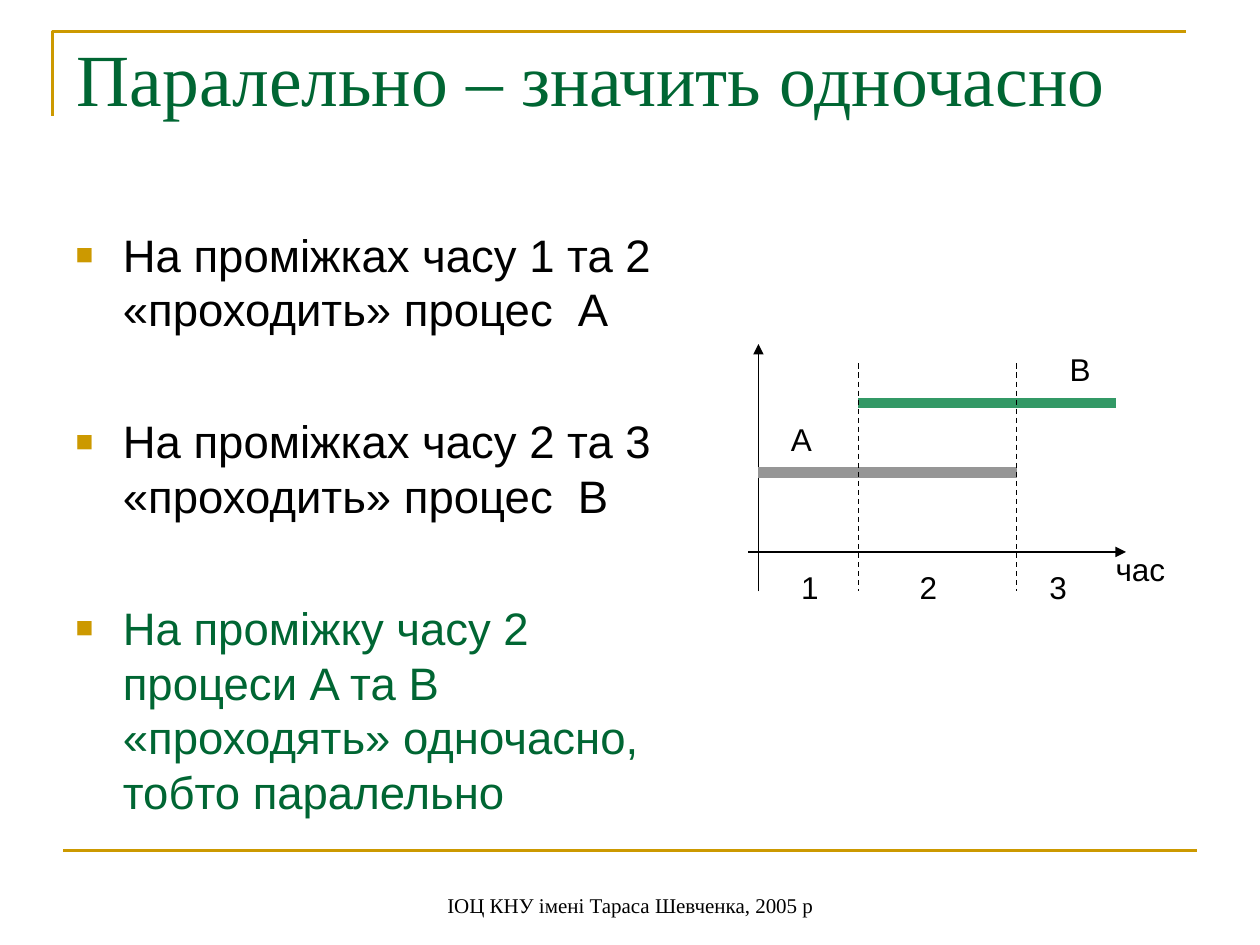
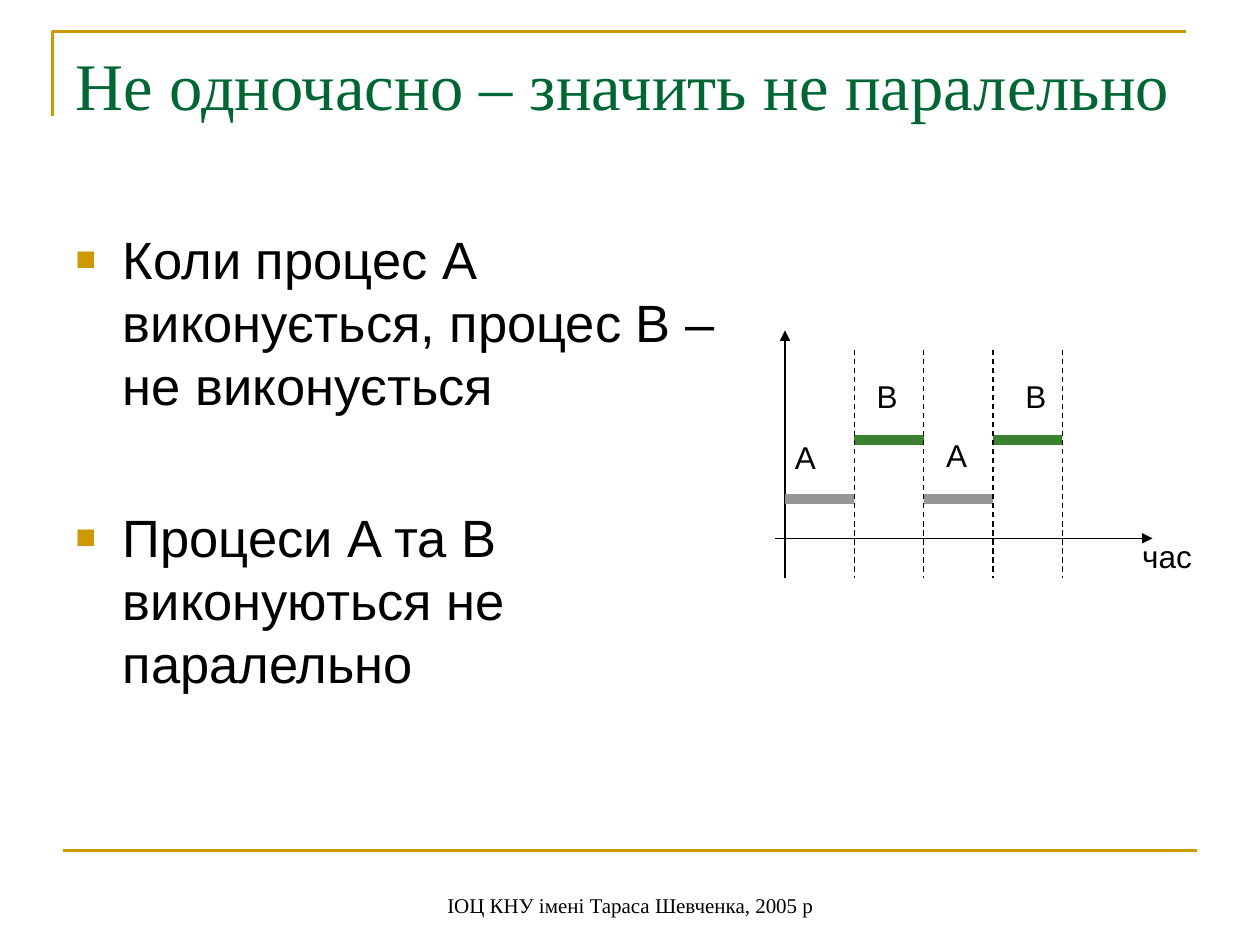
"""Builds two slides comparing parallel and non-parallel processes."""
from lxml import etree
from pptx import Presentation
from pptx.dml.color import RGBColor
from pptx.enum.dml import MSO_LINE
from pptx.enum.shapes import MSO_CONNECTOR
from pptx.enum.text import MSO_ANCHOR, MSO_AUTO_SIZE, PP_ALIGN
from pptx.oxml.ns import qn
from pptx.util import Pt

STRAIGHT = MSO_CONNECTOR.STRAIGHT
DASH = MSO_LINE.DASH
TOP, BOTTOM = MSO_ANCHOR.TOP, MSO_ANCHOR.BOTTOM
NO_FIT = MSO_AUTO_SIZE.NONE
LEFT, CENTER = PP_ALIGN.LEFT, PP_ALIGN.CENTER

GOLD = RGBColor(0xCC, 0x99, 0x00)
GREEN = RGBColor(0x00, 0x66, 0x33)
BLACK = RGBColor(0x00, 0x00, 0x00)
GRAY = RGBColor(0x96, 0x96, 0x96)
SEA_GREEN = RGBColor(0x33, 0x99, 0x66)
LEAF_GREEN = RGBColor(0x3B, 0x81, 0x2F)
SERIF, SANS = "Times New Roman", "Arial"

FOOTER = "ІОЦ КНУ імені Тараса Шевченка, 2005 р"
STEP = 39.6

SLIDES = [
    {
        "title": "Паралельно – значить одночасно",
        "title_box": (36.7, 15.1, 648, 90), "title_size": 42,
        "body": [
            ("На проміжках часу 1 та 2 «проходить» процес  A", BLACK),
            ("На проміжках часу 2 та 3 «проходить» процес  B", BLACK),
            ("На проміжку часу 2 процеси A та B «проходять» одночасно, "
             "тобто паралельно", GREEN),
        ],
        "body_width": 375, "body_size": 26,
        "origin": (433.4, 315.4),
        "bars": [(0, 147.6, -45.4, GRAY), (57, 204.6, -85, SEA_GREEN)],
        "moments": [57, 147.6],
        "labels": [("A", 11.5, -79.2), ("B", 170.7, -118.8),
                   ("1", 17.3, 5.7), ("2", 85, 5.7), ("3", 159.2, 5.7)],
    },
    {
        "title": "Не одночасно – значить не паралельно",
        "title_box": (36, 21.6, 648, 90), "title_size": 38,
        "body": [
            ("Коли процес A виконується, процес B – не виконується", BLACK),
            ("Процеси A та B виконуються не паралельно", BLACK),
        ],
        "body_width": 381, "body_size": 30,
        "origin": (448.6, 307.6),
        "bars": [(i * STEP, (i + 1) * STEP, y, color)
                 for i, (y, color) in enumerate(
                     [(-22.5, GRAY), (-56.3, LEAF_GREEN)] * 2)],
        "moments": [i * STEP for i in range(1, 5)],
        "labels": [("A", -1.5, -60.6), ("A", 84.9, -62.1),
                   ("B", 45.3, -95.9), ("B", 130.3, -95.9)],
    },
]

AXIS_LEFT, AXIS_RIGHT = -5.8, 210
AXIS_TOP, AXIS_BOTTOM = -118.8, 22.6
MOMENT_TOP = -107.7
TIME_LABEL = ("час", 197, -4.4)
LABEL_WIDTHS = {"час": 46, "A": 26.5, "B": 26.5}
DIGIT_WIDTH = 24.5


def place(part, left, top, width, height):
    part.left, part.top = Pt(left), Pt(top)
    part.width, part.height = Pt(width), Pt(height)


def style(paragraph, font_name, size, color):
    for run in paragraph.runs:
        run.font.name = font_name
        run.font.size = Pt(size)
        run.font.color.rgb = color


def add_line(shapes, start, end, color, width, dashed=False, arrow=False):
    connector = shapes.add_connector(STRAIGHT, *map(Pt, start + end))
    connector.line.color.rgb = color
    connector.line.width = Pt(width)
    if dashed:
        connector.line.dash_style = DASH
    properties = connector._element.spPr
    if arrow:
        etree.SubElement(properties.find(qn("a:ln")), qn("a:tailEnd"),
                         type="triangle")
    etree.SubElement(properties, qn("a:effectLst"))


def add_text(shapes, text, box, font_name, size, wrap=False,
             anchor=TOP, align=LEFT):
    label = shapes.add_textbox(*map(Pt, box))
    frame = label.text_frame
    frame.word_wrap = wrap
    frame.vertical_anchor = anchor
    frame.text = text
    frame.paragraphs[0].alignment = align
    style(frame.paragraphs[0], font_name, size, BLACK)


def add_frame_and_footer(slide):
    builder = slide.shapes.build_freeform(Pt(30), Pt(66.2))
    builder.add_line_segments([(Pt(30), Pt(18)), (Pt(678), Pt(18))],
                              close=False)
    corner = builder.convert_to_shape()
    corner.shadow.inherit = False
    corner.fill.background()
    corner.line.color.rgb = GOLD
    corner.line.width = Pt(1.5)
    add_line(slide.shapes, (36, 486), (684, 486), GOLD, 1.5)
    add_text(slide.shapes, FOOTER, (246.2, 491.8, 228.2, 36), SERIF, 12,
             wrap=True, anchor=BOTTOM, align=CENTER)


def add_bullet(paragraph):
    properties = paragraph._p.get_or_add_pPr()
    properties.set("marL", str(Pt(27)))
    properties.set("indent", str(-Pt(27)))
    color = etree.SubElement(properties, qn("a:buClr"))
    etree.SubElement(color, qn("a:srgbClr"), val=str(GOLD))
    etree.SubElement(properties, qn("a:buSzPct"), val="65000")
    etree.SubElement(properties, qn("a:buFont"), typeface=SANS)
    etree.SubElement(properties, qn("a:buChar"), char="■")


def fill_title(title, content):
    place(title, *content["title_box"])
    frame = title.text_frame
    frame.auto_size = NO_FIT
    frame.vertical_anchor = TOP
    frame.text = content["title"]
    frame.paragraphs[0].alignment = LEFT
    style(frame.paragraphs[0], SERIF, content["title_size"], GREEN)


def fill_body(body, content):
    place(body, 36, 126, content["body_width"], 356.4)
    frame = body.text_frame
    frame.auto_size = NO_FIT
    size = content["body_size"]
    for index, (text, color) in enumerate(content["body"]):
        paragraph = frame.add_paragraph() if index else frame.paragraphs[0]
        paragraph.text = text
        add_bullet(paragraph)
        paragraph.line_spacing = Pt(1.2 * size)
        paragraph.space_before = Pt(1.7 * size if index else 0)
        style(paragraph, SANS, size, color)


def add_timeline(slide, content):
    shapes = slide.shapes.add_group_shape().shapes
    x0, y0 = content["origin"]

    def at(x, y):
        return x0 + x, y0 + y

    add_line(shapes, at(0, AXIS_BOTTOM), at(0, AXIS_TOP), BLACK, 0.75,
             arrow=True)
    add_line(shapes, at(AXIS_LEFT, 0), at(AXIS_RIGHT, 0), BLACK, 0.75,
             arrow=True)
    for start, end, y, color in content["bars"]:
        add_line(shapes, at(start, y), at(end, y), color, 6)
    for x in content["moments"]:
        add_line(shapes, at(x, MOMENT_TOP), at(x, AXIS_BOTTOM), BLACK, 0.75,
                 dashed=True)
    for text, x, y in [TIME_LABEL] + content["labels"]:
        width = LABEL_WIDTHS.get(text, DIGIT_WIDTH)
        add_text(shapes, text, at(x, y) + (width, 28.8), SANS, 18)


def main():
    deck = Presentation()
    deck.slide_width, deck.slide_height = Pt(720), Pt(540)
    for content in SLIDES:
        slide = deck.slides.add_slide(deck.slide_layouts[1])
        add_frame_and_footer(slide)
        fill_title(slide.shapes.title, content)
        fill_body(slide.placeholders[1], content)
        add_timeline(slide, content)
    deck.save("out.pptx")


if __name__ == "__main__":
    main()
